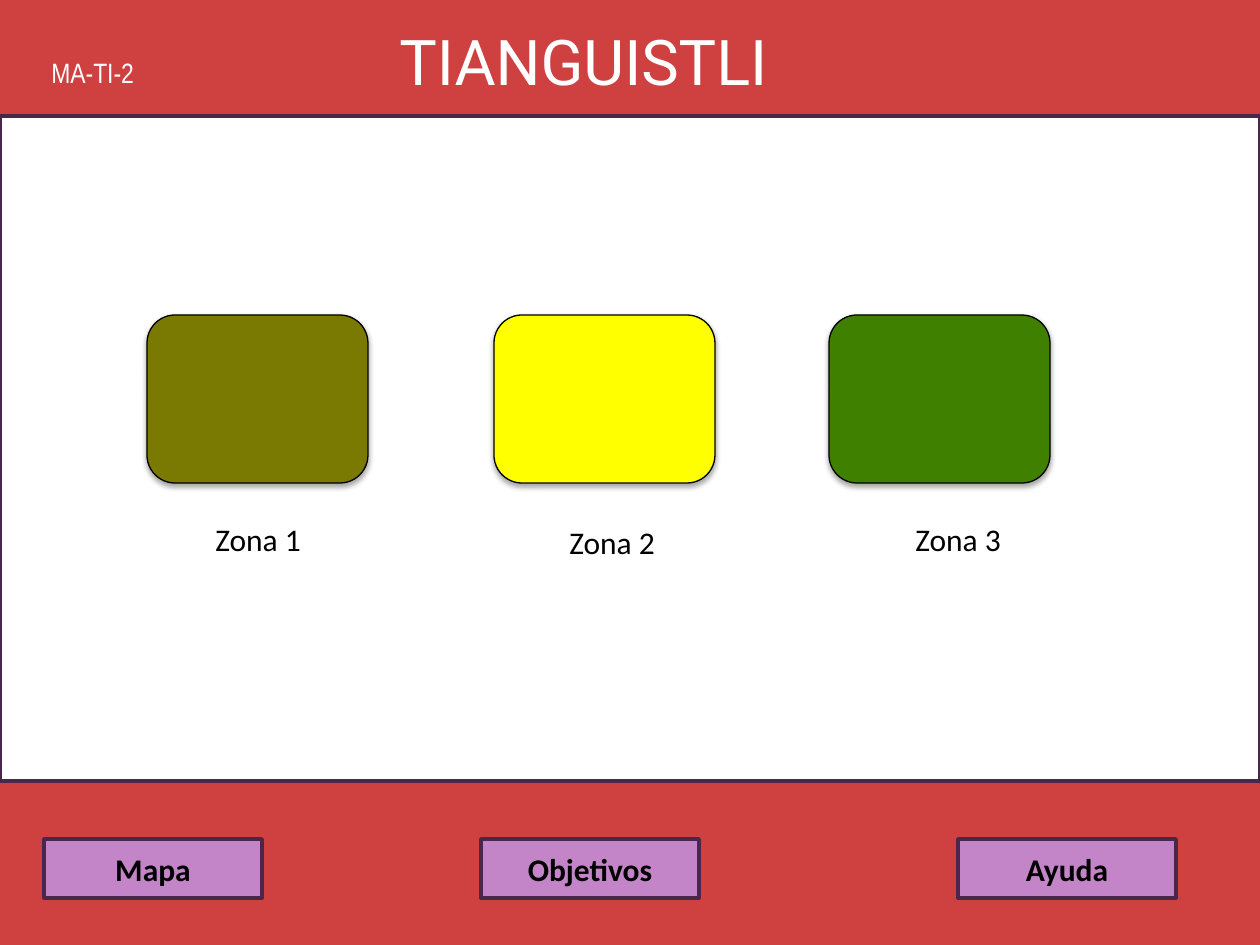
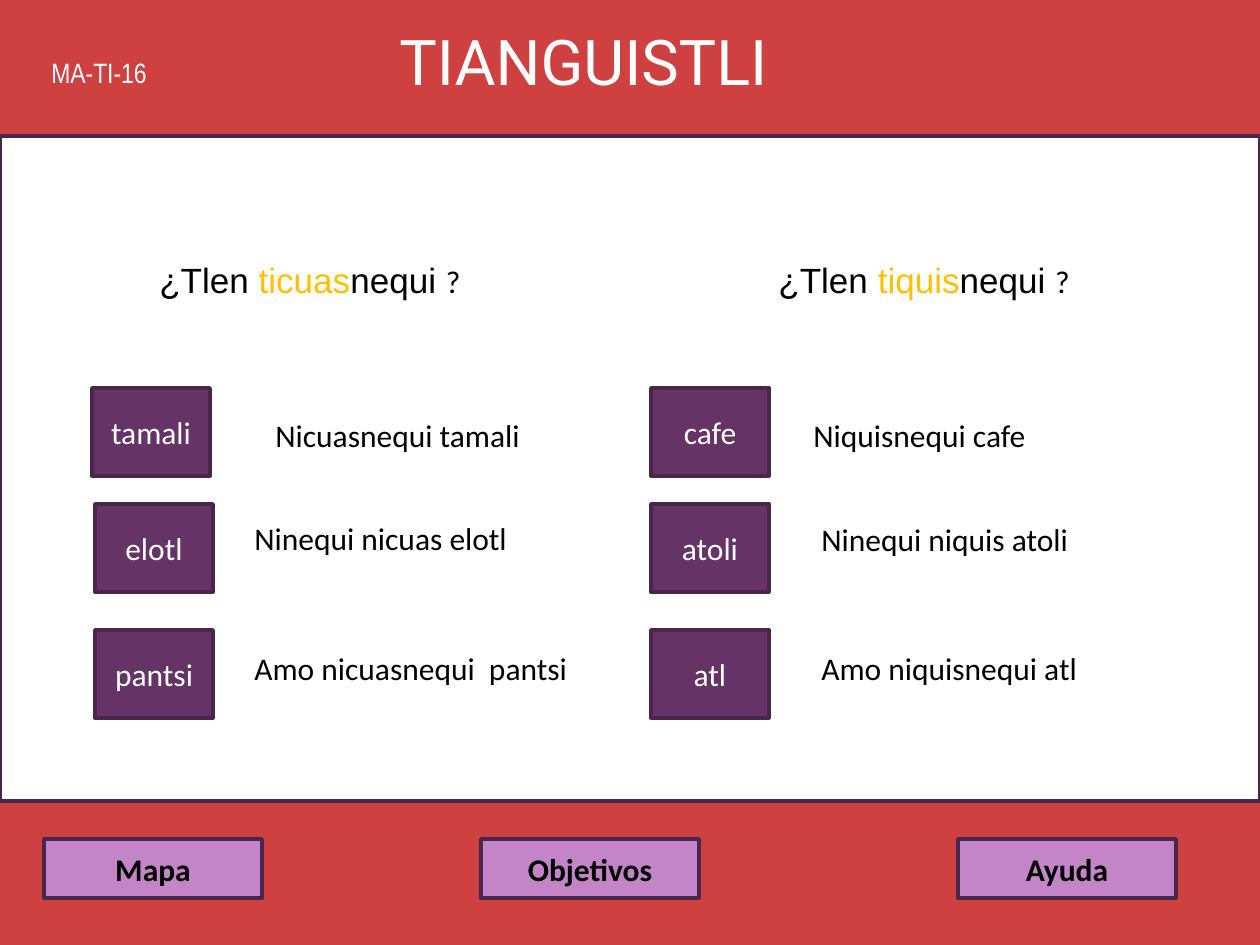
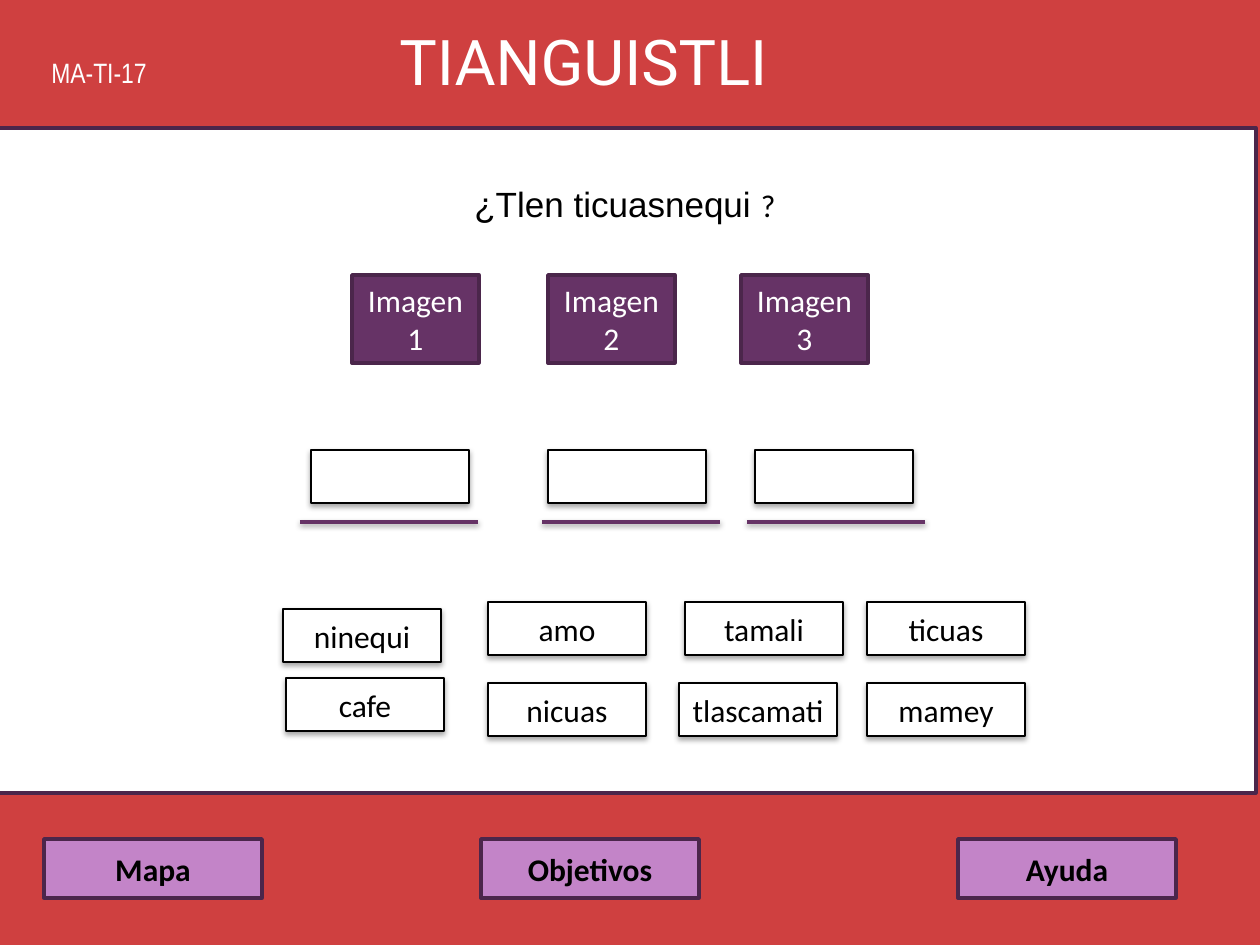
import lxml.etree
import pptx
import pptx.dml.color
import pptx.enum.shapes
import pptx.enum.text
import pptx.oxml.ns
import pptx.util

PX = pptx.util.Inches(1) / 126
SHAPES = pptx.enum.shapes.MSO_SHAPE
ALIGN = pptx.enum.text.PP_ALIGN
ANCHOR = pptx.enum.text.MSO_ANCHOR
FIT = pptx.enum.text.MSO_AUTO_SIZE


class Theme:
    """Colours, text formats and box looks shared by all pages."""
    red, white, black = "CF4040", "FFFFFF", "000000"
    purple, edge, lilac, amber = "663366", "4B264B", "C384C8", "FFC000"

    title = dict(name="Roboto", size=36, color=white)
    code = dict(name="Arial Narrow", size=16, color=white)
    body = dict(name="Calibri", size=18, color=black)
    button = dict(body, bold=True)
    card = dict(body, color=white)
    question = dict(name="Arial", size=20, color=black)
    accent = dict(question, color=amber)

    # Box looks: fill, line colour, line width, shadow opacity
    panel_look = (white, edge, 2, 0)
    button_look = (lilac, edge, 2, 0)
    card_look = (purple, edge, 2, 0)
    tile_look = (white, black, 0.75, 35)


def rgb(code):
    return pptx.dml.color.RGBColor.from_string(code)


def emu(*lengths):
    return [round(length * PX) for length in lengths]


class Painter:
    def __init__(self, deck, theme):
        self.deck, self.theme, self.page = deck, theme, None

    def new_page(self, code, panel_left, panel_top):
        """Start a page with its red ground, panel, title and buttons."""
        theme = self.theme
        self.page = self.deck.slides.add_slide(self.deck.slide_layouts[6])
        ground = self.page.background.fill
        ground.solid()
        ground.fore_color.rgb = rgb(theme.red)
        self.box((panel_left, panel_top, 1260, 665), theme.panel_look)
        self.text((387, 16, 450, 89), [("TIANGUISTLI", theme.title)])
        self.text((39, 49, 164, 47), [(code, theme.code)], wrap=True)
        for left, label in ((44, "Mapa"), (481, "Objetivos"), (958, "Ayuda")):
            self.box((left, 839, 218, 59), theme.button_look, [label], theme.button)

    def add_span(self, para, words, style):
        span = para.add_run()
        span.text = words
        values = dict(style)
        span.font.color.rgb = rgb(values.pop("color"))
        values["size"] = pptx.util.Pt(values["size"])
        for key, value in values.items():
            setattr(span.font, key, value)

    def effects(self, shape, opacity, distance):
        """Replace the theme effects by none, or by one soft shadow below."""
        qn = pptx.oxml.ns.qn
        effects = lxml.etree.SubElement(shape._element.spPr, qn("a:effectLst"))
        if opacity:
            shadow = lxml.etree.SubElement(
                effects, qn("a:outerShdw"), blurRad="40000", dist=str(distance),
                dir="5400000", rotWithShape="0")
            colour = lxml.etree.SubElement(shadow, qn("a:srgbClr"), val=self.theme.black)
            lxml.etree.SubElement(colour, qn("a:alpha"), val=str(opacity * 1000))

    def box(self, area, look, lines=(), style=None, kind=SHAPES.RECTANGLE):
        fill, edge, width, opacity = look
        box = self.page.shapes.add_shape(kind, *emu(*area))
        box.fill.solid()
        box.fill.fore_color.rgb = rgb(fill)
        box.line.color.rgb = rgb(edge)
        box.line.width = pptx.util.Pt(width)
        self.effects(box, opacity, 23000)
        frame = box.text_frame
        frame.vertical_anchor = ANCHOR.MIDDLE
        for index, words in enumerate(lines):
            para = frame.add_paragraph() if index else frame.paragraphs[0]
            para.alignment = ALIGN.CENTER
            self.add_span(para, words, style)

    def text(self, area, spans, wrap=False):
        frame = self.page.shapes.add_textbox(*emu(*area)).text_frame
        for key, value in dict(word_wrap=wrap, auto_size=FIT.SHAPE_TO_FIT_TEXT).items():
            setattr(frame, key, value)
        for words, style in spans:
            self.add_span(frame.paragraphs[0], words, style)

    def rule(self, left, top, length):
        rule = self.page.shapes.add_connector(
            pptx.enum.shapes.MSO_CONNECTOR.STRAIGHT, *emu(left, top, left + length, top))
        rule.line.color.rgb = rgb(self.theme.purple)
        rule.line.width = pptx.util.Pt(2)
        self.effects(rule, 38, 20000)


def zones_page(painter):
    theme = painter.theme
    painter.new_page("MA-TI-2", 0, 116)
    zones = ((147, "7A7901", 203, 514), (494, "FFFF00", 557, 517), (829, "408000", 903, 514))
    for number, (left, fill, label_left, label_top) in enumerate(zones, 1):
        painter.box((left, 315, 221, 168), (fill, *theme.tile_look[1:]),
                    kind=SHAPES.ROUNDED_RECTANGLE)
        painter.text((label_left, label_top, 112, 50), [(f"Zona {number}", theme.body)])


def answers_page(painter):
    theme = painter.theme
    painter.new_page("MA-TI-16", 0, 136)

    # Question above each column
    for left, width, verb in ((147, 329, "ticuas"), (766, 319, "tiquis")):
        painter.text((left, 252, width, 55), [
            ("¿Tlen ", theme.question), (verb, theme.accent),
            ("nequi ", theme.question), ("?", theme.body)])

    # Word cards, each with its sentence
    rows = (388, 504, 630)
    columns = (
        ((92, "tamali", 263, 410, 272, "Nicuasnequi tamali"),
         (95, "elotl", 242, 513, 281, "Ninequi nicuas elotl"),
         (95, "pantsi", 242, 643, 343, "Amo nicuasnequi  pantsi")),
        ((651, "cafe", 801, 410, 241, "Niquisnequi cafe"),
         (651, "atoli", 809, 514, 276, "Ninequi niquis atoli"),
         (651, "atl", 809, 643, 291, "Amo niquisnequi atl")))
    for column in columns:
        for card_top, (card_left, word, left, top, width, sentence) in zip(rows, column):
            painter.box((card_left, card_top, 118, 88), theme.card_look, [word], theme.card)
            painter.text((left, top, width, 50), [(sentence, theme.body)])


def exercise_page(painter):
    theme = painter.theme
    painter.new_page("MA-TI-17", -4, 128)
    painter.text((462, 176, 329, 55),
                 [("¿Tlen ticuasnequi ", theme.question), ("?", theme.body)])

    # Image cards, with an empty tile and a rule below each
    groups = ((352, 311, 300), (548, 548, 542), (741, 755, 747))
    for number, (card_left, blank_left, rule_left) in enumerate(groups, 1):
        painter.box((card_left, 275, 127, 88), theme.card_look,
                    ["Imagen", str(number)], theme.card)
        painter.rule(rule_left, 522, 178)
        painter.box((blank_left, 450, 158, 53), theme.tile_look)

    # Word tiles
    tiles = ((283, 609, "ninequi"), (488, 602, "amo"), (685, 602, "tamali"),
             (867, 602, "ticuas"), (286, 678, "cafe"), (488, 683, "nicuas"),
             (679, 683, "tlascamati"), (867, 683, "mamey"))
    for left, top, word in tiles:
        painter.box((left, top, 158, 53), theme.tile_look, [word], theme.body)


def main():
    deck = pptx.Presentation()
    deck.slide_width, deck.slide_height = emu(1260, 945)
    painter = Painter(deck, Theme())
    for build in (zones_page, answers_page, exercise_page):
        build(painter)
    deck.save("out.pptx")


if __name__ == "__main__":
    main()
